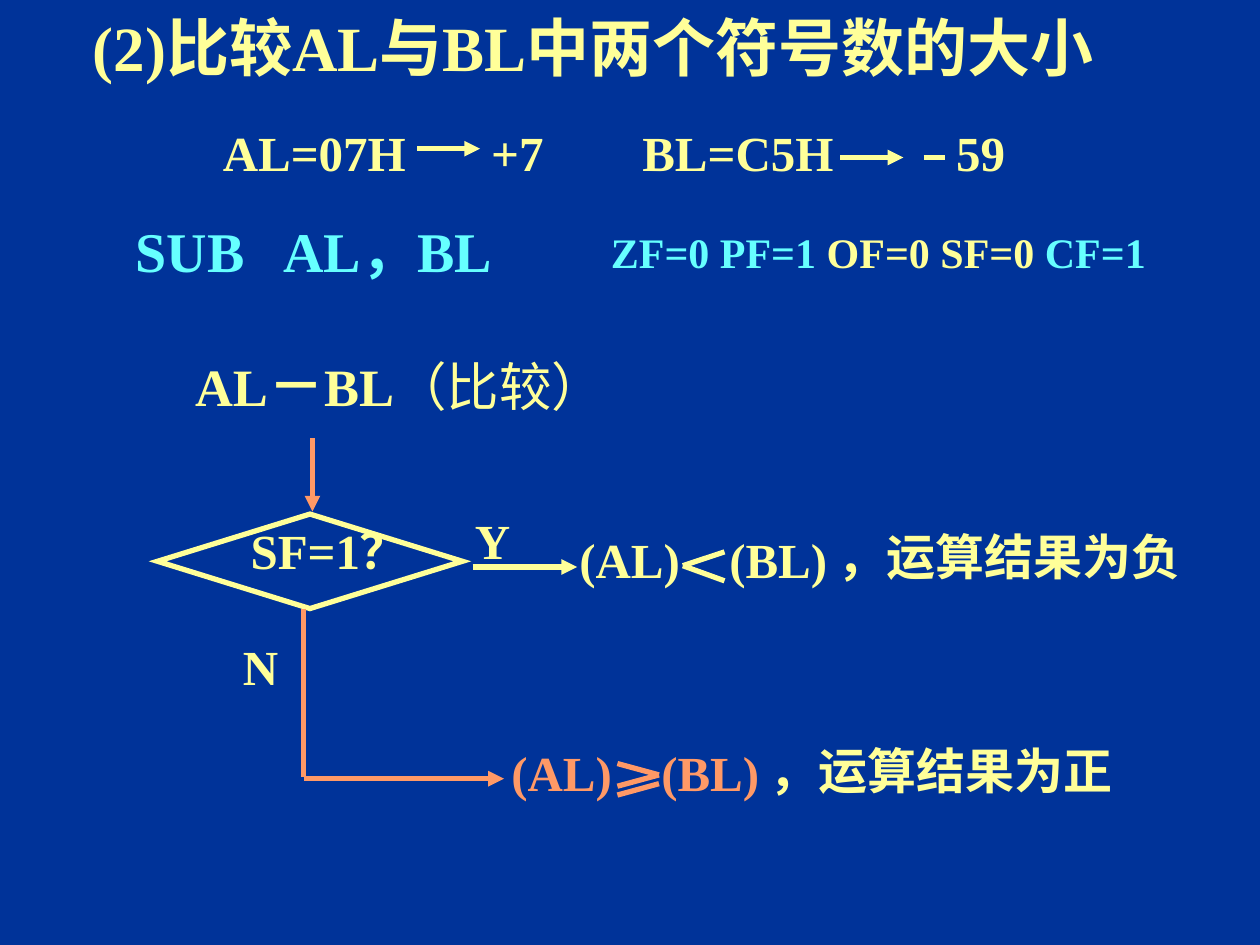
from lxml import etree
from pptx import Presentation
from pptx.dml.color import RGBColor
from pptx.enum.shapes import MSO_CONNECTOR, MSO_SHAPE
from pptx.enum.text import MSO_ANCHOR, MSO_AUTO_SIZE, PP_ALIGN
from pptx.oxml.ns import qn
from pptx.util import Inches, Pt

NAVY = RGBColor(0x00, 0x33, 0x99)
YELLOW = RGBColor(0xFF, 0xFF, 0x99)
ORANGE = RGBColor(0xFF, 0x99, 0x66)
CYAN = RGBColor(0x66, 0xFF, 0xFF)


class Deck:
    """Holds the text style and the current slide."""

    font = "Times New Roman"
    line_width = Pt(3)

    def __init__(self, prs):
        self.s = prs.slides.add_slide(prs.slide_layouts[5])
        fill = self.s.background.fill
        fill.solid()
        fill.fore_color.rgb = NAVY

    def style(self, r, size, color, bold=True):
        r.font.name = self.font
        r.font.size = Pt(size)
        r.font.bold = bold
        r.font.color.rgb = color

    def title(self, text, x, y, w, h):
        sp = self.s.shapes.title
        sp.left, sp.top, sp.width, sp.height = map(Inches, (x, y, w, h))
        tf = sp.text_frame
        tf.text = text
        tf.auto_size = MSO_AUTO_SIZE.NONE
        tf.vertical_anchor = MSO_ANCHOR.MIDDLE
        p = tf.paragraphs[0]
        p.alignment = PP_ALIGN.CENTER
        self.style(p.runs[0], 36, YELLOW)

    def runs(self, x, y, w, h, parts, wrap=True, tab=None, indent=None):
        tf = self.s.shapes.add_textbox(*map(Inches, (x, y, w, h))).text_frame
        tf.word_wrap = wrap
        p = tf.paragraphs[0]
        pPr = p._p.get_or_add_pPr()
        if indent:
            pPr.set("marL", str(Inches(indent)))
        if tab:
            tabs = etree.SubElement(pPr, qn("a:tabLst"))
            etree.SubElement(tabs, qn("a:tab"), pos=str(Inches(tab)), algn="l")
        for text, *look in parts:
            r = p.add_run()
            r.text = text
            self.style(r, *look)

    def text(self, text, x, y, w, h=0.57, size=28, color=YELLOW, tab=None):
        self.runs(x, y, w, h, [(text, size, color)], wrap=bool(tab), tab=tab)

    def decision(self, x, y, w, h):
        sp = self.s.shapes.add_shape(
            MSO_SHAPE.FLOWCHART_DECISION, *map(Inches, (x, y, w, h)))
        sp.shadow.inherit = False
        sp.fill.background()
        sp.line.color.rgb = YELLOW
        sp.line.width = self.line_width
        etree.SubElement(sp.line._get_or_add_ln(), qn("a:miter"), lim="800000")

    def line(self, x1, y1, x2, y2, color=YELLOW, arrow=False):
        c = self.s.shapes.add_connector(
            MSO_CONNECTOR.STRAIGHT, *map(Inches, (x1, y1, x2, y2)))
        c.line.color.rgb = color
        c.line.width = self.line_width
        if arrow:
            etree.SubElement(c.line._get_or_add_ln(), qn("a:tailEnd"), type="triangle")
        etree.SubElement(c._element.spPr, qn("a:effectLst"))


def main():
    prs = Presentation()
    prs.slide_width, prs.slide_height = Inches(10), Inches(7.5)
    d = Deck(prs)

    d.title("(2)比较AL与BL中两个符号数的大小", 0, 0, 9.42, 0.73)

    d.text("AL=07H\t+7", 1.67, 0.92, 2.9, tab=2.13)
    d.line(3.31, 1.18, 3.81, 1.18, arrow=True)
    d.text("BL=C5H\t59", 5, 0.92, 3.25, tab=2.49)
    d.line(6.67, 1.25, 7.17, 1.25, arrow=True)
    d.line(7.33, 1.25, 7.5, 1.25)

    d.text("SUB\tAL，BL", 0.98, 1.67, 3.4, 0.64, 32, CYAN, tab=1.17)
    d.runs(4.75, 1.75, 4.58, 0.5, [
        ("ZF=0 PF=1 ", 24, CYAN),
        ("OF=0 SF=0", 24, YELLOW),
        (" CF=1", 24, CYAN)])

    d.runs(1.16, 2.73, 4.09, 0.67, [
        ("AL", 30, YELLOW),
        ("－", 32, YELLOW),
        ("BL", 30, YELLOW),
        ("（比较）", 30, YELLOW, False)], indent=0.29)
    d.line(2.48, 3.48, 2.48, 4.06, ORANGE, arrow=True)
    d.decision(1.25, 4.08, 2.42, 0.75)
    d.text("SF=1？", 1.89, 4.08, 1.55)

    d.text("Y", 3.67, 4, 0.48)
    d.line(3.75, 4.5, 4.58, 4.5, arrow=True)
    d.text("(AL)\t(BL)", 4.5, 4.15, 2.3, tab=1.19)
    for y in (4.38, 4.61):
        d.line(5.42, 4.49, 5.75, y)
    d.text("，运算结果为负", 6.55, 4.13, 2.92)

    d.text("N", 1.83, 5, 0.48)
    d.line(2.41, 4.83, 2.41, 6.17, ORANGE)
    d.line(2.41, 6.18, 4, 6.18, ORANGE, arrow=True)
    d.text("(AL)\t(BL)", 3.96, 5.84, 2.3, color=ORANGE, tab=1.19)
    for y1, y2 in ((6.06, 6.15), (6.24, 6.15), (6.31, 6.22)):
        d.line(4.9, y1, 5.23, y2, ORANGE)
    d.text("，运算结果为正", 6.01, 5.83, 2.92)

    prs.save("out.pptx")


if __name__ == "__main__":
    main()
